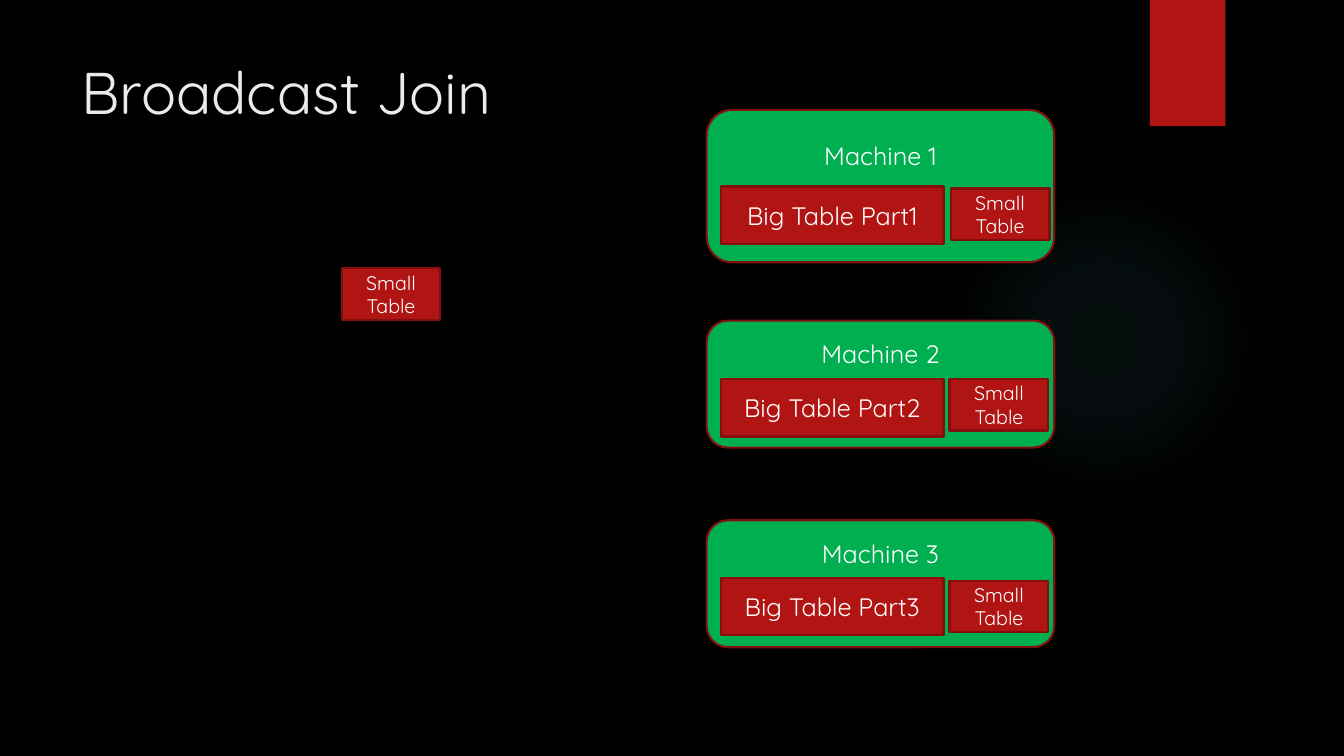
from lxml.etree import SubElement
from pptx import Presentation
from pptx.dml.color import RGBColor
from pptx.enum.shapes import MSO_SHAPE as Preset
from pptx.enum.text import MSO_ANCHOR as Anchor, MSO_AUTO_SIZE as AutoSize, PP_ALIGN as Align
from pptx.oxml.ns import qn
from pptx.util import Cm, Pt

COLOURS = {
    "background": "000000",
    "title": "EBEBEB",
    "label": "FFFFFF",
    "table": "B01513",
    "border": "82100E",
    "machine": "00B050",
    "glow": "50B9C1",
}
FONT = "Quicksand"
SMALL_TABLE_SIZE = (2.49, 1.3)
PART_SIZE = (5.61, 1.45)
MACHINE_LEFT, MACHINE_WIDTH = 17.81, 8.76
MACHINES = [
    {"top": 2.77, "height": 3.84, "part_drop": 1.93, "small_at": (6.15, 1.98)},
    {"top": 8.08, "height": 3.2, "part_drop": 1.47, "small_at": (6.12, 1.47)},
    {"top": 13.11, "height": 3.2, "part_drop": 1.45, "small_at": (6.12, 1.52)},
]


def colour(name):
    return RGBColor.from_string(COLOURS[name])


def style_text(paragraph, size, colour_name, align):
    paragraph.alignment = align
    paragraph.font.name = FONT
    paragraph.font.size = Pt(size)
    paragraph.font.color.rgb = colour(colour_name)


def add_plain(slide, preset, box, fill):
    shape = slide.shapes.add_shape(preset, *map(Cm, box))
    shape.shadow.inherit = False
    shape.fill.solid()
    shape.fill.fore_color.rgb = colour(fill)
    shape.line.fill.background()
    return shape


def add_labelled(slide, preset, box, fill, label, size):
    shape = add_plain(slide, preset, box, fill)
    shape.line.color.rgb = colour("border")
    shape.line.width = Pt(1.5)
    frame = shape.text_frame
    frame.word_wrap = True
    frame.vertical_anchor = Anchor.MIDDLE
    frame.text = label
    style_text(frame.paragraphs[0], size, "label", Align.CENTER)
    return shape


def add_glow(slide, box):
    glow = add_plain(slide, Preset.OVAL, box, "glow")
    properties = glow._element.spPr
    solid = properties.find(qn("a:solidFill"))
    gradient = SubElement(properties, qn("a:gradFill"))
    properties.replace(solid, gradient)
    stops = SubElement(gradient, qn("a:gsLst"))
    for position, opacity in ((0, 7), (36, 6), (69, 0)):
        stop = SubElement(stops, qn("a:gs"), pos=str(position * 1000))
        tint = SubElement(stop, qn("a:srgbClr"), val=COLOURS["glow"])
        SubElement(tint, qn("a:alpha"), val=str(opacity * 1000))
    circle = SubElement(gradient, qn("a:path"), path="circle")
    SubElement(circle, qn("a:fillToRect"), l="50000", t="50000", r="50000", b="50000")


def add_backdrop(slide):
    slide.background.fill.solid()
    slide.background.fill.fore_color.rgb = colour("background")
    add_glow(slide, (23.9, 4.65, 7.82, 7.82))
    add_plain(slide, Preset.RECTANGLE, (28.98, 0, 1.9, 3.18), "table")


def add_title(slide, box):
    title = slide.shapes.title
    title.left, title.top, title.width, title.height = map(Cm, box)
    frame = title.text_frame
    frame.text = "Broadcast Join"
    frame.auto_size = AutoSize.NONE
    frame.vertical_anchor = Anchor.TOP
    style_text(frame.paragraphs[0], 42, "title", Align.LEFT)


def add_small_table(slide, left, top):
    add_labelled(slide, Preset.RECTANGLE, (left, top, *SMALL_TABLE_SIZE), "table", "Small Table", 14)


def add_machine(slide, box, number, part_drop, small_at):
    left, top = box[:2]
    machine = add_labelled(slide, Preset.ROUNDED_RECTANGLE, box, "machine", f"Machine {number}", 18)
    machine.text_frame.margin_top = 0
    machine.text_frame.margin_bottom = Cm(1.55)
    part_box = (left + 0.36, top + part_drop, *PART_SIZE)
    add_labelled(slide, Preset.RECTANGLE, part_box, "table", f"Big Table Part{number}", 18)
    add_small_table(slide, left + small_at[0], top + small_at[1])


def build_slide(presentation):
    slide = presentation.slides.add_slide(presentation.slide_layouts[5])
    add_backdrop(slide)
    add_title(slide, (1.8, 1.27, 26.14, 3.89))
    add_small_table(slide, 8.61, 6.76)
    for number, machine in enumerate(MACHINES, start=1):
        box = (MACHINE_LEFT, machine["top"], MACHINE_WIDTH, machine["height"])
        add_machine(slide, box, number, machine["part_drop"], machine["small_at"])


presentation = Presentation()
presentation.slide_width, presentation.slide_height = Cm(33.87), Cm(19.05)
build_slide(presentation)
presentation.save("out.pptx")
